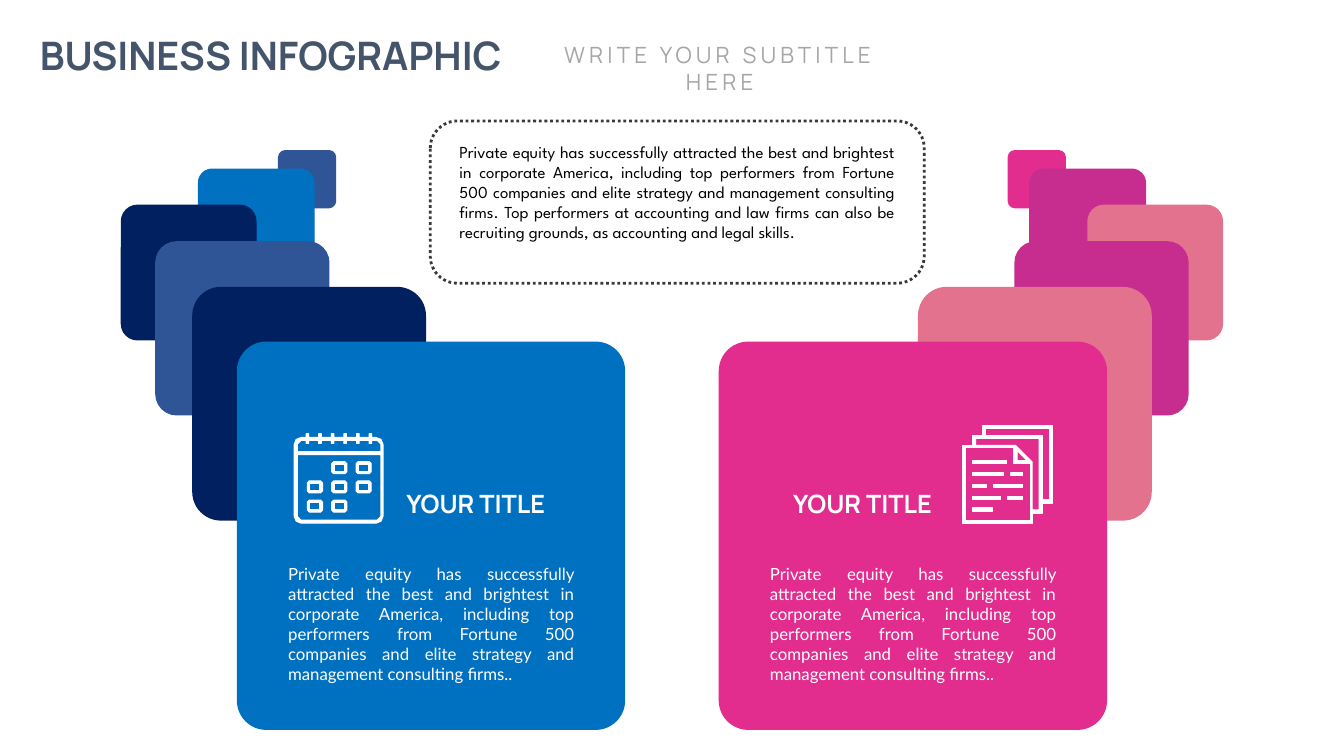
"""Build a business infographic slide with two mirrored fans of rounded cards."""
from dataclasses import dataclass

from pptx import Presentation
from pptx.dml.color import RGBColor
from pptx.enum.dml import MSO_LINE
from pptx.enum.shapes import MSO_SHAPE
from pptx.enum.text import MSO_ANCHOR, MSO_AUTO_SIZE, PP_ALIGN
from pptx.util import Pt


@dataclass(frozen=True)
class Theme:
    slate: str = "44546A"
    grey: str = "A6A6A6"
    ink: str = "000000"
    border: str = "3B3838"
    white: str = "FFFFFF"
    blues: tuple = ("2F5597", "0070C0", "002060", "2F5597", "002060", "0070C0")
    pinks: tuple = ("E32D8E", "C62D8E", "E3728E", "C62D8E", "E3728E", "E32D8E")
    heading_font: str = "Manrope"
    lead_font: str = "League Spartan"
    card_font: str = "Lato"
    title_size: int = 28
    subtitle_size: int = 16
    heading_size: int = 18
    body_size: int = 12


def write(box, place, text, font, size, color, align=PP_ALIGN.CENTER, bold=False, wrap=True,
          anchor=MSO_ANCHOR.TOP, space=0):
    """Place a text box and fill it with one formatted run."""
    box.left, box.top, box.width, box.height = (Pt(length) for length in place)
    frame = box.text_frame
    frame.auto_size = MSO_AUTO_SIZE.NONE
    frame.word_wrap = wrap
    frame.vertical_anchor = anchor
    para = frame.paragraphs[0]
    para.alignment = align
    para.space_before = Pt(space)
    span = para.add_run()
    span.text = text
    span.font.name = font
    span.font.size = Pt(size)
    span.font.bold = bold
    span.font.color.rgb = RGBColor.from_string(color)
    return span


def rectangle(left, top, right, bottom, hole=False):
    """Return corner points, clockwise for a solid part and reversed for a hole."""
    corners = [(left, top), (right, top), (right, bottom), (left, bottom)]
    return corners[::-1] if hole else corners


theme = Theme()
white = RGBColor.from_string(theme.white)
deck = Presentation()
deck.slide_width, deck.slide_height = Pt(960), Pt(540)
page = deck.slides.add_slide(deck.slide_layouts[0])
shapes = page.shapes

write(shapes.title, (17, 18.7, 352.8, 41), "BUSINESS INFOGRAPHIC", theme.heading_font,
      theme.title_size, theme.slate, bold=True, wrap=False)
subtitle = write(page.placeholders[1], (369.4, 25.9, 289.4, 26.6), "WRITE YOUR SUBTITLE HERE",
                 theme.heading_font, theme.subtitle_size, theme.grey)
subtitle.font._element.set("spc", "300")

tiles = [(198.6, 107.2, 41.6), (141.3, 120.4, 83.5), (86.3, 146.2, 97),
         (110.9, 172.3, 124.5), (137.3, 204.9, 167), (169.2, 244, 277.4)]
for colors, mirrored in ((theme.blues, False), (theme.pinks, True)):
    for (left, top, side), color in zip(tiles, colors):
        if mirrored:
            left = 960 - left - side
        tile = shapes.add_shape(MSO_SHAPE.ROUNDED_RECTANGLE, Pt(left), Pt(top), Pt(side), Pt(side))
        tile.adjustments[0] = 0.076 if side > 200 else 0.123
        tile.fill.solid()
        tile.fill.fore_color.rgb = RGBColor.from_string(color)
        tile.line.fill.background()
        tile.shadow.inherit = False

opening = ("Private equity has successfully attracted the best and brightest in corporate America, "
           "including top performers from Fortune 500 companies and elite strategy and management "
           "consulting firms.")
write(shapes.add_textbox(0, 0, 0, 0), (321.1, 97.4, 325.4, 94.3),
      opening + " Top performers at accounting and law firms can also be recruiting grounds, "
      "as accounting and legal skills.",
      theme.lead_font, theme.body_size, theme.ink, PP_ALIGN.JUSTIFY, space=12)

for card_left, heading_left in ((169.2, 277.2), (513.4, 553.5)):
    write(shapes.add_textbox(0, 0, 0, 0), (heading_left, 342.2, 125.3, 31.7), "YOUR TITLE",
          theme.heading_font, theme.heading_size, theme.white,
          bold=True, wrap=False, anchor=MSO_ANCHOR.BOTTOM)
    write(shapes.add_textbox(0, 0, 0, 0), (card_left + 29.5, 398.9, 218.7, 103), opening + ".",
          theme.card_font, theme.body_size, theme.white, PP_ALIGN.JUSTIFY, space=12)

rings_above, rings_below = [], []
for ring in range(6):
    x = 219.6 + 9 * ring
    rings_above += [(x - 0.9, 312.5), (x - 0.9, 309.8), (x + 0.9, 309.8), (x + 0.9, 312.5)]
    rings_below += [(x - 0.9, 314.6), (x - 0.9, 316.8), (x + 0.9, 316.8), (x + 0.9, 314.6)]
calendar = [
    [(210.2, 317.5), (211.6, 313.9), (215.2, 312.5), *rings_above, (268.6, 312.5), (272.2, 313.9),
     (273.6, 317.5), (273.6, 368.7), (272.2, 372.3), (268.6, 373.7), (215.2, 373.7),
     (211.6, 372.3), (210.2, 368.7)],
    [(212.4, 317.3), (212.4, 322.6), (272.2, 322.6), (272.2, 317.3), (269.5, 314.6),
     *rings_below[::-1], (215.1, 314.6)],
    [(212.4, 324.7), (212.4, 368.8), (215.1, 371.5), (269.5, 371.5), (272.2, 368.8), (272.2, 324.7)],
]
for row in range(3):
    for column in range(3):
        if (row, column) not in ((0, 0), (2, 2)):
            left, top = 219.6 + 17.4 * column, 329.8 + 13.7 * row
            right, bottom = left + 10.8, top + 8.6
            calendar.append([(left, top + 1.4), (left + 1.4, top), (right - 1.4, top),
                             (right, top + 1.4), (right, bottom - 1.4), (right - 1.4, bottom),
                             (left + 1.4, bottom), (left, bottom - 1.4)])
            calendar.append(rectangle(left + 1.8, top + 1.8, right - 1.8, bottom - 1.8, hole=True))

documents = [
    [(687.6, 318.2), (694.8, 318.2), (694.8, 311), (702, 311), (702, 303.8), (751.7, 303.8),
     (751.7, 359.3), (744.5, 359.3), (744.5, 366.5), (737.3, 366.5), (737.3, 373.7), (687.6, 373.7)],
    [(704.2, 306), (704.2, 311), (744.5, 311), (744.5, 357.1), (749.5, 357.1), (749.5, 306)],
    [(697, 313.2), (697, 318.2), (725.4, 318.2), (737.3, 330.1), (737.3, 364.3), (742.3, 364.3),
     (742.3, 313.2)],
    [(689.8, 319.7), (689.8, 371.5), (735.8, 371.5), (735.8, 331.2), (724.3, 331.2), (724.3, 319.7)],
    [(726.5, 321.8), (733.7, 329), (726.5, 329)],
]
text_rows = [[(695, 719)], [(695, 717), (722.2, 730.6)], [(695, 704.7), (709.9, 730.6)],
             [(695, 714.4), (719.5, 730.6)], [(695, 709)]]
text_rows[1], text_rows[2], text_rows[3] = (
    [(695, 716.8), (722.2, 730.6)], [(695, 704.6), (709.9, 730.6)], [(695, 714.4), (719.6, 730.6)])
for row, dashes in enumerate(text_rows):
    top = 329 + 8.45 * row
    documents += [rectangle(begin, top, end, top + 2.2) for begin, end in dashes]

for contours in (calendar, documents):
    builder = shapes.build_freeform()
    for contour in contours:
        first, *others = [(Pt(x), Pt(y)) for x, y in contour]
        builder.move_to(*first)
        builder.add_line_segments(others, close=True)
    icon = builder.convert_to_shape()
    icon.fill.solid()
    icon.fill.fore_color.rgb = white
    icon.line.color.rgb = white
    icon.line.width = Pt(0.75)
    icon.shadow.inherit = False

lead_frame = shapes.add_shape(MSO_SHAPE.ROUNDED_RECTANGLE, Pt(307.4), Pt(86.4), Pt(352.8), Pt(115.9))
lead_frame.fill.background()
lead_frame.line.color.rgb = RGBColor.from_string(theme.border)
lead_frame.line.width = Pt(2)
lead_frame.line.dash_style = MSO_LINE.ROUND_DOT
lead_frame.shadow.inherit = False

deck.save("out.pptx")
